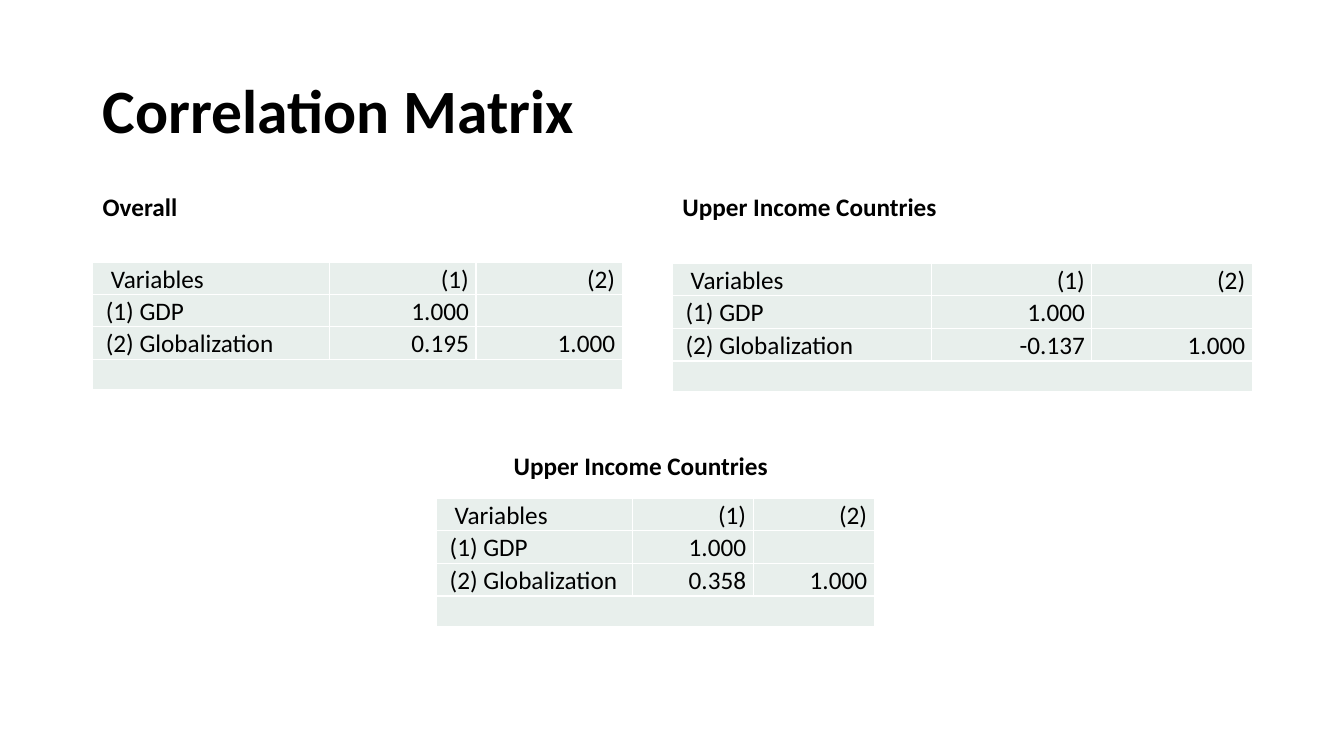
from dataclasses import dataclass

from lxml.etree import SubElement
from pptx import Presentation
from pptx.dml.color import RGBColor
from pptx.enum.text import MSO_ANCHOR, PP_ALIGN
from pptx.oxml.ns import qn
from pptx.slide import Slide
from pptx.table import _Cell
from pptx.text.text import _Paragraph
from pptx.util import Inches, Pt

BLACK = RGBColor(0x00, 0x00, 0x00)
WHITE = RGBColor(0xFF, 0xFF, 0xFF)
PALE_GREEN = RGBColor(0xE8, 0xEF, 0xEC)
FONT = "Calibri"
SIDE_MARGIN = 0.07
HEADER_INDENT = 0.11
LABEL_INDENT = 0.06


@dataclass
class Matrix:
    """A correlation matrix with its caption; lengths in inches."""
    caption: str
    left: float
    caption_top: float
    caption_width: float
    caption_align: PP_ALIGN
    table_top: float
    label_width: float
    value_width: float
    row_heights: tuple[float, ...]
    correlation: str


WIDE_ROWS = (0.3, 0.33, 0.3, 0.3)
MATRICES = [
    Matrix("Overall", 0.92, 1.85, 5.24, PP_ALIGN.LEFT,
           2.6, 2.35, 1.45, (0.28, 0.31, 0.28, 0.28), "0.195"),
    Matrix("Upper Income Countries", 6.67, 1.85, 5.49, PP_ALIGN.LEFT,
           2.61, 2.57, 1.59, WIDE_ROWS, "-0.137"),
    Matrix("Upper Income Countries", 4.33, 4.42, 4.05, PP_ALIGN.CENTER,
           4.94, 1.94, 1.2, WIDE_ROWS, "0.358"),
]


def set_font(paragraph: _Paragraph, size: float, bold: bool = False) -> None:
    font = paragraph.font
    font.name, font.size, font.bold = FONT, Pt(size), bold
    font.color.rgb = BLACK


def add_heading(slide: Slide, text: str, left: float, top: float, width: float,
                height: float, size: float, align: PP_ALIGN = PP_ALIGN.LEFT,
                line_spacing: float = 1.0) -> None:
    frame = slide.shapes.add_textbox(
        Inches(left), Inches(top), Inches(width), Inches(height)).text_frame
    frame.word_wrap = True
    frame.vertical_anchor = MSO_ANCHOR.MIDDLE
    paragraph = frame.paragraphs[0]
    paragraph.text = text
    paragraph.alignment = align
    paragraph.line_spacing = line_spacing
    set_font(paragraph, size, bold=True)


def style_cell(cell: _Cell) -> None:
    # Borders come before the fill in the cell properties
    properties = cell._tc.get_or_add_tcPr()
    for side in ("a:lnL", "a:lnR", "a:lnT", "a:lnB"):
        line = SubElement(properties, qn(side), w=str(Pt(1)))
        SubElement(SubElement(line, qn("a:solidFill")), qn("a:srgbClr"), val=str(WHITE))
    cell.fill.solid()
    cell.fill.fore_color.rgb = PALE_GREEN
    cell.margin_left = cell.margin_right = Inches(SIDE_MARGIN)
    cell.margin_top = cell.margin_bottom = 0


def add_matrix(slide: Slide, matrix: Matrix) -> None:
    add_heading(slide, matrix.caption, matrix.left, matrix.caption_top,
                matrix.caption_width, 0.4, 18, matrix.caption_align)

    content = [
        ("Variables", "(1)", "(2)"),
        ("(1) GDP", "1.000", ""),
        ("(2) Globalization", matrix.correlation, "1.000"),
        ("", "", ""),
    ]
    widths = (matrix.label_width, matrix.value_width, matrix.value_width)
    table = slide.shapes.add_table(
        len(content), len(widths), Inches(matrix.left), Inches(matrix.table_top),
        Inches(sum(widths)), Inches(sum(matrix.row_heights))).table
    table.first_row = table.horz_banding = False
    for column, width in zip(table.columns, widths):
        column.width = Inches(width)
    for row, height in zip(table.rows, matrix.row_heights):
        row.height = Inches(height)

    for r, texts in enumerate(content):
        for c, text in enumerate(texts):
            cell = table.cell(r, c)
            style_cell(cell)
            paragraph = cell.text_frame.paragraphs[0]
            if text:
                paragraph.text = text
            paragraph.line_spacing = 1.07
            if c == 0:
                indent = HEADER_INDENT if r == 0 else LABEL_INDENT
                cell.margin_left = Inches(SIDE_MARGIN + indent)
            else:
                paragraph.alignment = PP_ALIGN.RIGHT
            set_font(paragraph, 18)

    # The closing row spans the whole table
    last = len(content) - 1
    table.cell(last, 0).merge(table.cell(last, len(widths) - 1))


def main() -> None:
    presentation = Presentation()
    presentation.slide_width = Inches(13.33)
    presentation.slide_height = Inches(7.5)
    slide = presentation.slides.add_slide(presentation.slide_layouts[6])

    # Title
    add_heading(slide, "Correlation Matrix", 0.92, 0.4, 11.5, 1.45, 44, line_spacing=0.9)

    # Captioned matrices
    for matrix in MATRICES:
        add_matrix(slide, matrix)

    presentation.save("out.pptx")


if __name__ == "__main__":
    main()
